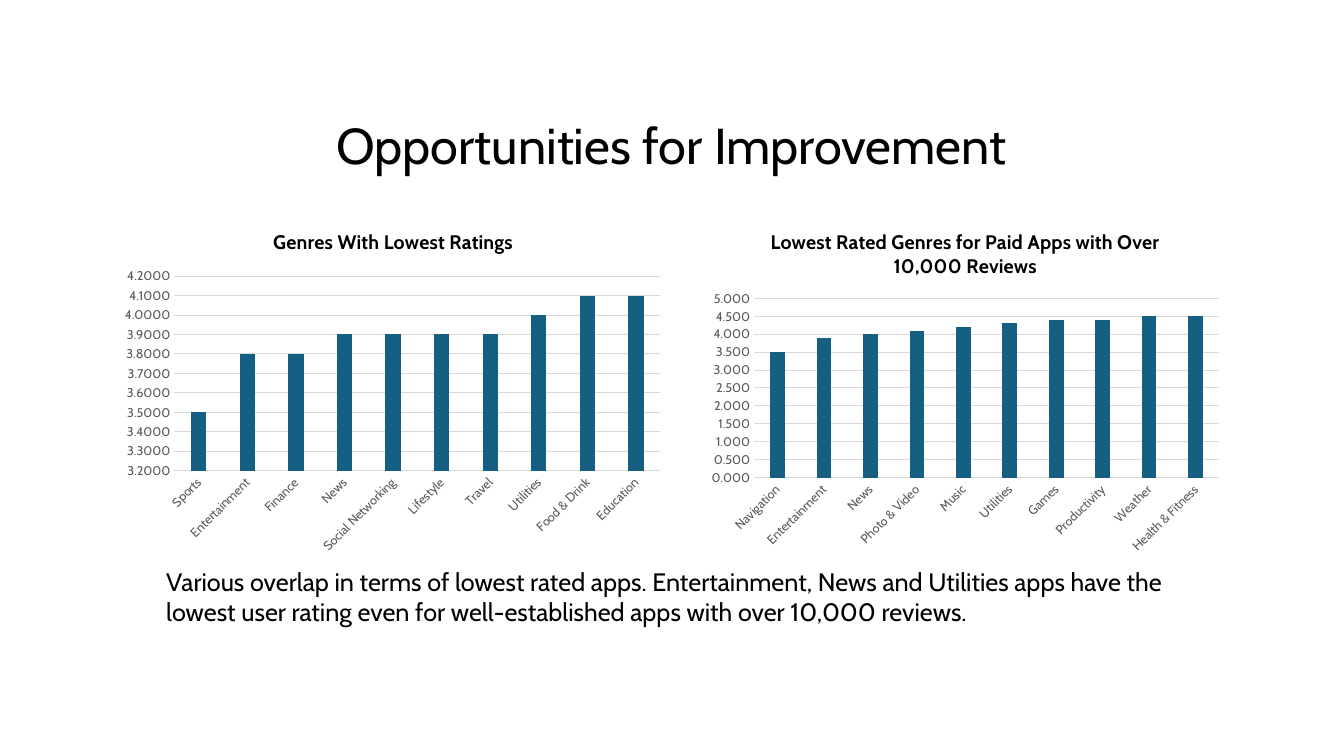
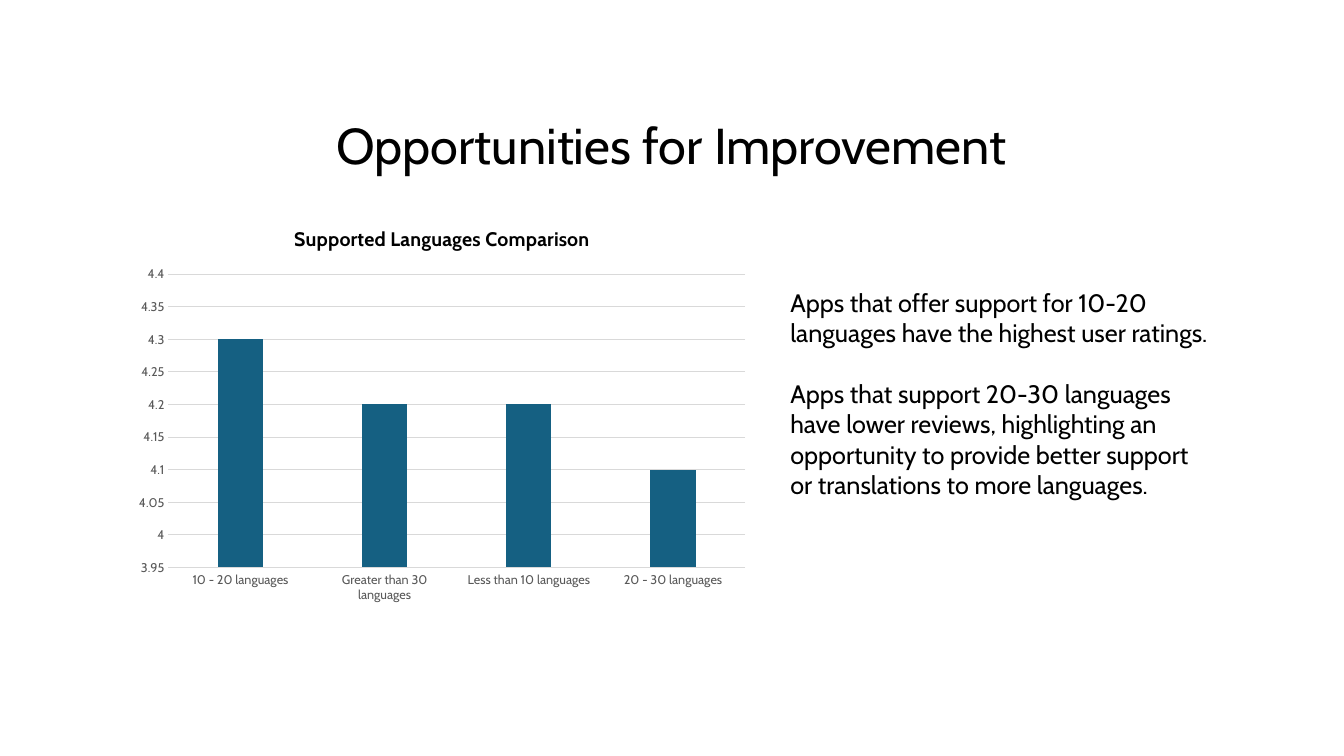
from lxml import etree
from pptx import Presentation
from pptx.chart.data import CategoryChartData
from pptx.dml.color import RGBColor
from pptx.enum.chart import XL_CHART_TYPE, XL_TICK_MARK
from pptx.enum.shapes import MSO_SHAPE
from pptx.enum.text import MSO_ANCHOR, PP_ALIGN
from pptx.oxml.ns import qn
from pptx.util import Inches, Pt

FONT = "Cabin"
COLORS = {"text": "000000", "axis": "595959", "grid": "D9D9D9",
          "bar": "156082", "panel": "FFFFFF"}
TITLE = "Opportunities for Improvement"


def rgb(name):
    return RGBColor.from_string(COLORS[name])


def set_font(font, size, color="text", bold=False):
    font.name = FONT
    font.size = Pt(size)
    font.bold = bold
    font.color.rgb = rgb(color)


def add_text(s, box, paragraphs, size=18, gap=22, align=PP_ALIGN.LEFT,
             anchor=MSO_ANCHOR.TOP, line_spacing=None):
    tf = s.shapes.add_textbox(*map(Inches, box)).text_frame
    tf.word_wrap = True
    tf.vertical_anchor = anchor
    for i, text in enumerate(paragraphs):
        p = tf.add_paragraph() if i else tf.paragraphs[0]
        p.text = text
        p.alignment = align
        p.line_spacing = line_spacing
        if i:
            p.space_before = Pt(gap)
        set_font(p.font, size)


def add_panel(s):
    """Add the translucent panel behind the content."""
    sp = s.shapes.add_shape(MSO_SHAPE.RECTANGLE,
                            *map(Inches, (1, 0.85, 11.33, 5.8)))
    sp.shadow.inherit = False
    sp.line.fill.background()
    sp.fill.solid()
    sp.fill.fore_color.rgb = rgb("panel")
    color = sp._element.spPr.find(qn("a:solidFill")).find(qn("a:srgbClr"))
    etree.SubElement(color, qn("a:alpha")).set("val", "90000")


def add_titled_slide(prs):
    s = prs.slides.add_slide(prs.slide_layouts[6])
    add_panel(s)
    add_text(s, (1.38, 0.52, 10.56, 1.27), [TITLE], size=36,
             align=PP_ALIGN.CENTER, anchor=MSO_ANCHOR.BOTTOM, line_spacing=0.9)
    return s


def set_plot_box(chart, box, plot):
    """Fix the inner plot area; both boxes are in slide inches."""
    left, top, width, height = box
    area = chart.plots[0]._element.getparent()
    for old in area.findall(qn("c:layout")):
        area.remove(old)
    layout = etree.Element(qn("c:layout"))
    area.insert(0, layout)
    manual = etree.SubElement(layout, qn("c:manualLayout"))
    settings = {
        "layoutTarget": "inner", "xMode": "edge", "yMode": "edge",
        "x": (plot[0] - left) / width, "y": (plot[1] - top) / height,
        "w": plot[2] / width, "h": plot[3] / height,
    }
    for tag, value in settings.items():
        etree.SubElement(manual, qn(f"c:{tag}")).set("val", str(value))


def style_axes(chart, scale, number_format, slanted):
    cat, val = chart.category_axis, chart.value_axis
    for axis in (cat, val):
        axis.major_tick_mark = axis.minor_tick_mark = XL_TICK_MARK.NONE
        set_font(axis.tick_labels.font, 9, "axis")
    val.minimum_scale, val.maximum_scale, val.major_unit = scale
    val.tick_labels.number_format = number_format
    val.tick_labels.number_format_is_linked = False
    val.format.line.fill.background()
    val.has_major_gridlines = True
    for line in (cat.format.line, val.major_gridlines.format.line):
        line.color.rgb = rgb("grid")
        line.width = Pt(0.75)
    if slanted:
        body = cat._element.find(qn("c:txPr")).find(qn("a:bodyPr"))
        body.set("rot", "-2700000")
        body.set("vert", "horz")


def add_column_chart(s, box, plot_box, title, values, scale,
                     number_format="General", slanted=False):
    data = CategoryChartData()
    data.categories = list(values)
    data.add_series("Series 1", list(values.values()))
    chart = s.shapes.add_chart(XL_CHART_TYPE.COLUMN_CLUSTERED,
                               *map(Inches, box), data).chart
    set_font(chart.font, 10)
    chart.has_legend = False
    chart.has_title = True
    chart.chart_title.include_in_layout = False
    p = chart.chart_title.text_frame.paragraphs[0]
    p.text = title
    set_font(p.font, 14, bold=True)

    plot = chart.plots[0]
    plot.gap_width, plot.overlap = 219, -27
    plot.vary_by_categories = False
    fill = plot.series[0].format.fill
    fill.solid()
    fill.fore_color.rgb = rgb("bar")
    style_axes(chart, scale, number_format, slanted)
    set_plot_box(chart, box, plot_box)


def add_genres_slide(prs):
    s = add_titled_slide(prs)
    add_column_chart(
        s, (1.13, 2.11, 5.54, 3.45), (1.73, 2.74, 4.82, 1.93),
        "Genres With Lowest Ratings",
        {"Sports": 3.5, "Entertainment": 3.8, "Finance": 3.8, "News": 3.9,
         "Social Networking": 3.9, "Lifestyle": 3.9, "Travel": 3.9,
         "Utilities": 4, "Food & Drink": 4.1, "Education": 4.1},
        (3.2, 4.2, 0.1), "0.0000", slanted=True)
    add_text(s, (1.55, 5.57, 10.15, 0.71), [
        "Various overlap in terms of lowest rated apps. Entertainment, News and "
        "Utilities apps have the lowest user rating even for well-established "
        "apps with over 10,000 reviews."])
    add_column_chart(
        s, (6.95, 2.11, 5.25, 3.45), (7.48, 2.96, 4.61, 1.78),
        "Lowest Rated Genres for Paid Apps with Over 10,000 Reviews",
        {"Navigation": 3.5, "Entertainment": 3.9, "News": 4,
         "Photo & Video": 4.1, "Music": 4.2, "Utilities": 4.3,
         "Games": 4.4, "Productivity": 4.4, "Weather": 4.5,
         "Health & Fitness": 4.5},
        (0, 5, 0.5), "0.000", slanted=True)


def add_languages_slide(prs):
    s = add_titled_slide(prs)
    add_column_chart(
        s, (1.25, 2.07, 6.27, 3.99), (1.67, 2.72, 5.72, 2.91),
        "Supported Languages Comparison",
        {"10 - 20 languages": 4.3, "Greater than 30 languages": 4.2,
         "Less than 10 languages": 4.2, "20 - 30 languages": 4.1},
        (3.95, 4.4, 0.05))
    add_text(s, (7.74, 2.8, 4.34, 2.52), [
        "Apps that offer support for 10-20 languages have the highest user "
        "ratings.",
        "Apps that support 20-30 languages have lower reviews, highlighting an "
        "opportunity to provide better support or translations to more "
        "languages."])


def main():
    prs = Presentation()
    prs.slide_width, prs.slide_height = Inches(13.33), Inches(7.5)
    add_genres_slide(prs)
    add_languages_slide(prs)
    prs.save("out.pptx")


if __name__ == "__main__":
    main()
